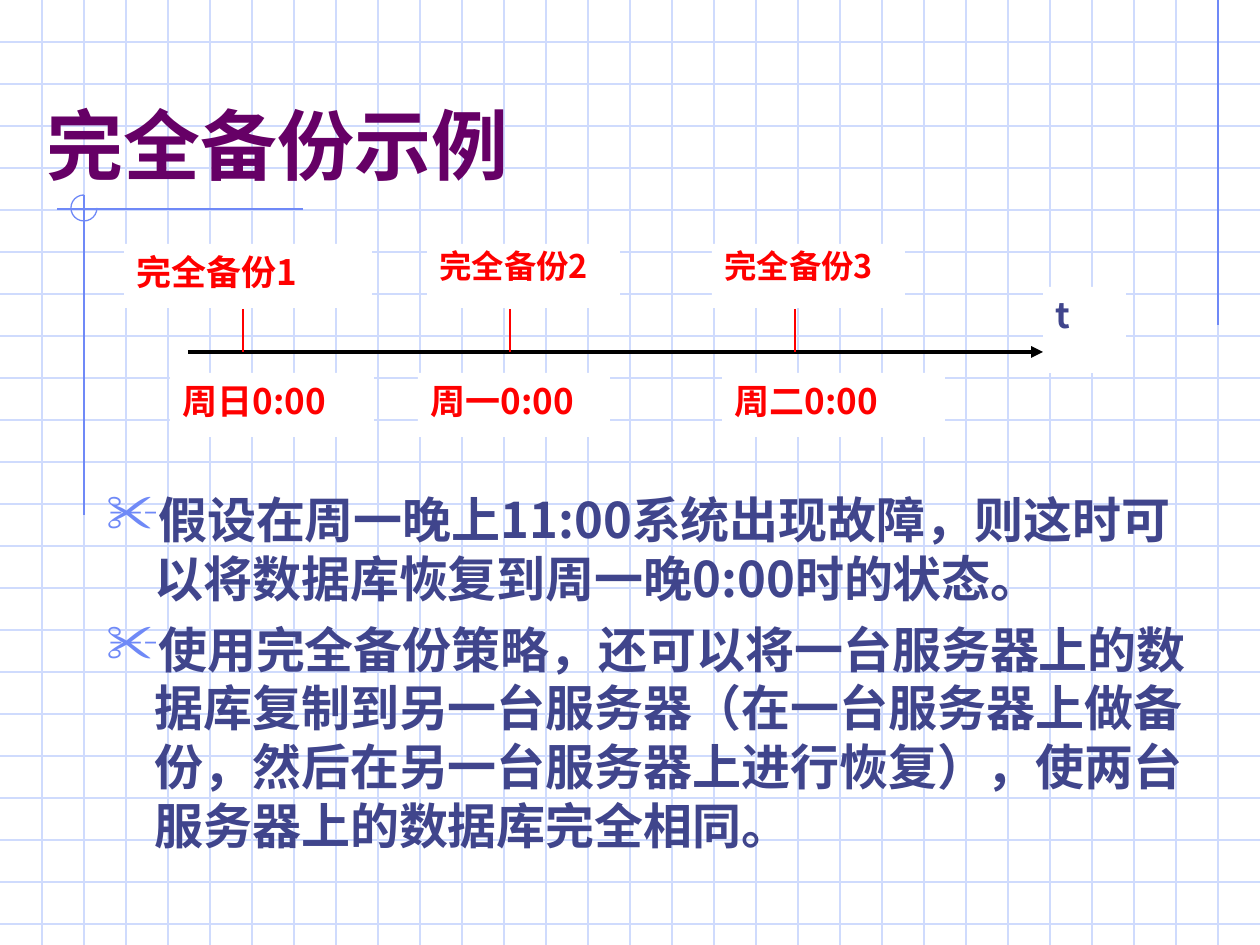
from dataclasses import dataclass

from lxml import etree
from pptx import Presentation
from pptx.dml.color import RGBColor
from pptx.enum.shapes import MSO_CONNECTOR, MSO_SHAPE
from pptx.enum.text import MSO_ANCHOR, PP_ALIGN
from pptx.oxml.ns import qn
from pptx.util import Emu, Pt

STRAIGHT = MSO_CONNECTOR.STRAIGHT
RECTANGLE, ARC = MSO_SHAPE.RECTANGLE, MSO_SHAPE.ARC
TOP, BOTTOM = MSO_ANCHOR.TOP, MSO_ANCHOR.BOTTOM
LEFT, JUSTIFY = PP_ALIGN.LEFT, PP_ALIGN.JUSTIFY
EMU_PER_PX = 914400 / 126
WIDTH, HEIGHT, GRID_STEP = 1260, 945, 42


@dataclass(frozen=True)
class Theme:
    paper: str = "FFFFFF"
    grid: str = "CFDBFD"
    accent: str = "6F89F7"
    heading: str = "660066"
    body: str = "40458C"
    event: str = "FF0000"
    axis: str = "000000"
    heading_font: str = "Cabin"
    body_font: str = "Noto Sans CJK SC"
    heading_size: float = 44
    body_size: float = 28
    label_size: float = 20
    small_label_size: float = 18.5
    hairline: float = 0.75
    tick_width: float = 1.5
    axis_width: float = 2.25


@dataclass(frozen=True)
class Box:
    left: int
    top: int
    width: int
    height: int


@dataclass(frozen=True)
class Label:
    text: str
    box: Box
    color: str
    size: float
    spacing: float = 1.0


THEME = Theme()
TICKS = (243, 510, 795)
LABELS = (
    Label("完全备份1", Box(124, 244, 248, 64), THEME.event, THEME.label_size),
    Label("完全备份2", Box(427, 244, 193, 64), THEME.event, THEME.small_label_size, 0.9),
    Label("完全备份3", Box(712, 244, 193, 64), THEME.event, THEME.small_label_size, 0.9),
    Label("t", Box(1043, 287, 83, 86), THEME.body, THEME.label_size),
    Label("周日0:00", Box(170, 373, 204, 64), THEME.event, THEME.label_size),
    Label("周一0:00", Box(418, 373, 192, 64), THEME.event, THEME.label_size),
    Label("周二0:00", Box(722, 373, 223, 64), THEME.event, THEME.label_size),
)
POINTS = (
    "假设在周一晚上11:00系统出现故障，则这时可以将数据库恢复到周一晚0:00时的状态。",
    "使用完全备份策略，还可以将一台服务器上的数据库复制到另一台服务器"
    "（在一台服务器上做备份，然后在另一台服务器上进行恢复），使两台服务器上的数据库完全相同。",
)


def px(length: int) -> Emu:
    return Emu(round(length * EMU_PER_PX))


def place(box: Box) -> tuple[Emu, Emu, Emu, Emu]:
    return px(box.left), px(box.top), px(box.width), px(box.height)


def style_paragraph(paragraph, font_name: str, size: float, color: str) -> None:
    font = paragraph.font
    font.name, font.size, font.bold = font_name, Pt(size), True
    font.color.rgb = RGBColor.from_string(color)
    east_asian = etree.SubElement(font._element, qn("a:ea"))
    east_asian.set("typeface", font_name)


def add_line(shapes, start: tuple[int, int], end: tuple[int, int],
             color: str, width: float, arrow: bool = False) -> None:
    line = shapes.add_connector(STRAIGHT, *map(px, start + end))
    line.line.color.rgb = RGBColor.from_string(color)
    line.line.width = Pt(width)
    if arrow:
        etree.SubElement(line.line._get_or_add_ln(), qn("a:tailEnd")).set("type", "triangle")
    etree.SubElement(line._element.spPr, qn("a:effectLst"))


def add_background(shapes) -> None:
    for y in range(GRID_STEP, HEIGHT, GRID_STEP):
        add_line(shapes, (0, y), (WIDTH, y), THEME.grid, THEME.hairline)
    for x in range(GRID_STEP, WIDTH, GRID_STEP):
        add_line(shapes, (x, 0), (x, HEIGHT), THEME.grid, THEME.hairline)
    for start, end in (
        ((1218, 0), (1218, 325)),
        ((303, 209), (57, 209)),
        ((84, 195), (84, 515)),
    ):
        add_line(shapes, start, end, THEME.accent, THEME.hairline)
    ring = shapes.add_shape(ARC, *place(Box(71, 195, 26, 26)))
    ring.adjustments[0], ring.adjustments[1] = 0, 162
    ring.shadow.inherit = False
    ring.fill.background()
    ring.line.color.rgb = RGBColor.from_string(THEME.accent)
    ring.line.width = Pt(THEME.hairline)


def format_title(title) -> None:
    title.left, title.top, title.width, title.height = place(Box(34, 76, 1177, 120))
    title.text_frame.text = "完全备份示例"
    title.text_frame.vertical_anchor = BOTTOM
    paragraph = title.text_frame.paragraphs[0]
    paragraph.alignment = LEFT
    style_paragraph(paragraph, THEME.heading_font, THEME.heading_size, THEME.heading)
    title._element.getparent().append(title._element)


def add_bullet(paragraph) -> None:
    properties = paragraph._p.get_or_add_pPr()
    properties.set("marL", str(px(48)))
    properties.set("indent", str(-px(48)))
    color = etree.SubElement(properties, qn("a:buClr"))
    etree.SubElement(color, qn("a:srgbClr")).set("val", THEME.accent)
    etree.SubElement(properties, qn("a:buSzPct")).set("val", "110000")
    etree.SubElement(properties, qn("a:buChar")).set("char", "✂")


def add_points(shapes) -> None:
    frame = shapes.add_textbox(*place(Box(94, 483, 1125, 397))).text_frame
    frame.word_wrap = True
    for index, point in enumerate(POINTS):
        paragraph = frame.add_paragraph() if index else frame.paragraphs[0]
        paragraph.text = point
        paragraph.space_before = Pt(7)
        add_bullet(paragraph)
        style_paragraph(paragraph, THEME.body_font, THEME.body_size, THEME.body)


def add_label(shapes, label: Label) -> None:
    panel = shapes.add_shape(RECTANGLE, *place(label.box))
    panel.shadow.inherit = False
    panel.fill.solid()
    panel.fill.fore_color.rgb = RGBColor.from_string(THEME.paper)
    panel.line.fill.background()
    panel.text_frame.word_wrap = True
    panel.text_frame.vertical_anchor = TOP
    paragraph = panel.text_frame.paragraphs[0]
    paragraph.text = label.text
    paragraph.alignment = JUSTIFY
    paragraph.line_spacing = label.spacing
    style_paragraph(paragraph, THEME.body_font, label.size, label.color)


def add_timeline(shapes) -> None:
    add_line(shapes, (188, 352), (1043, 352), THEME.axis, THEME.axis_width, arrow=True)
    for x in TICKS:
        add_line(shapes, (x, 309), (x, 352), THEME.event, THEME.tick_width)
    for label in LABELS:
        add_label(shapes, label)


def main() -> None:
    deck = Presentation()
    deck.slide_width, deck.slide_height = px(WIDTH), px(HEIGHT)
    slide = deck.slides.add_slide(deck.slide_layouts[5])
    add_background(slide.shapes)
    format_title(slide.shapes.title)
    add_points(slide.shapes)
    add_timeline(slide.shapes)
    deck.save("out.pptx")


if __name__ == "__main__":
    main()
